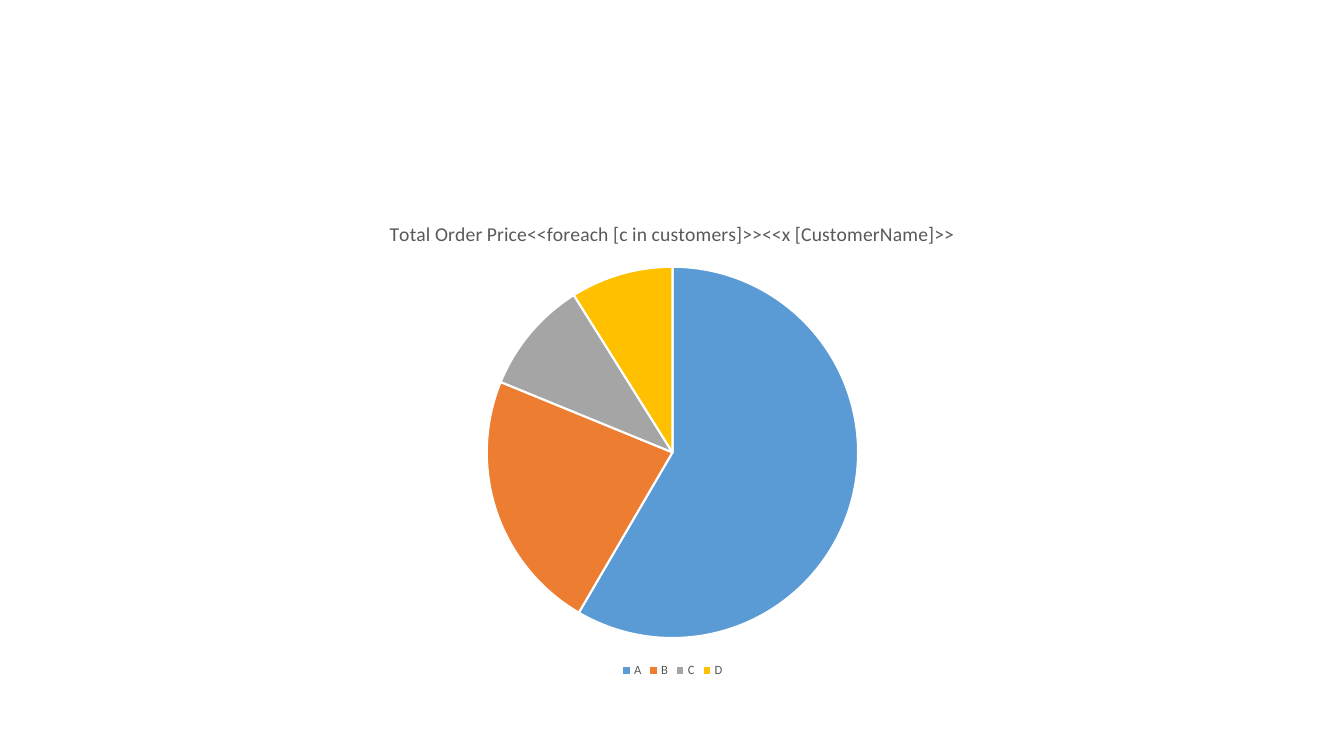
from dataclasses import dataclass

from pptx import Presentation
from pptx.chart.data import CategoryChartData as ChartData
from pptx.dml.color import RGBColor
from pptx.enum.chart import XL_CHART_TYPE as ChartType, XL_LEGEND_POSITION as LegendPosition
from pptx.util import Pt


@dataclass(frozen=True)
class Theme:
    font: str = "Calibri"
    text: str = "595959"
    edge: str = "FFFFFF"
    slices: tuple = ("5B9BD5", "ED7D31", "A5A5A5", "FFC000")
    title_size: int = 14
    body_size: int = 10
    legend_size: int = 9
    edge_width: float = 1.5


THEME = Theme()
EMU_PER_PX = 914400 / 100.8
BLANK_LAYOUT = 6

TITLE = "Total Order Price<<foreach [c in customers]>><<x [CustomerName]>>"
ORDER_PRICES = {"A": 59, "B": 23, "C": 10, "D": 9}


def px(length):
    return round(length * EMU_PER_PX)


def style_font(font, size, color=THEME.text, bold=False):
    font.name = THEME.font
    font.size = Pt(size)
    font.bold = bold
    font.color.rgb = RGBColor.from_string(color)


def write_text(frame, text, **font_format):
    run = frame.paragraphs[0].add_run()
    run.text = text
    style_font(run.font, **font_format)


def color_slices(series):
    for index, color in enumerate(THEME.slices):
        slice_format = series.points[index].format
        slice_format.fill.solid()
        slice_format.fill.fore_color.rgb = RGBColor.from_string(color)
        slice_format.line.color.rgb = RGBColor.from_string(THEME.edge)
        slice_format.line.width = Pt(THEME.edge_width)


def add_pie(slide, title, prices, left, top, width, height):
    price_data = ChartData()
    price_data.categories = list(prices)
    price_data.add_series("Series 1", list(prices.values()))
    pie = slide.shapes.add_chart(
        ChartType.PIE, px(left), px(top), px(width), px(height), price_data
    ).chart
    style_font(pie.font, size=THEME.body_size)

    # Title
    pie.has_title = True
    write_text(pie.chart_title.text_frame, title, size=THEME.title_size)
    pie.chart_title.include_in_layout = False

    # Legend
    pie.has_legend = True
    pie.legend.position = LegendPosition.BOTTOM
    pie.legend.include_in_layout = False
    style_font(pie.legend.font, size=THEME.legend_size)

    # Slices
    plot = pie.plots[0]
    plot.vary_by_categories = True
    color_slices(plot.series[0])


def main():
    deck = Presentation()
    deck.slide_width, deck.slide_height = px(1344), px(756)
    slide = deck.slides.add_slide(deck.slide_layouts[BLANK_LAYOUT])
    add_pie(slide, TITLE, ORDER_PRICES, left=93, top=202, width=1159, height=480)
    deck.save("out.pptx")


main()
